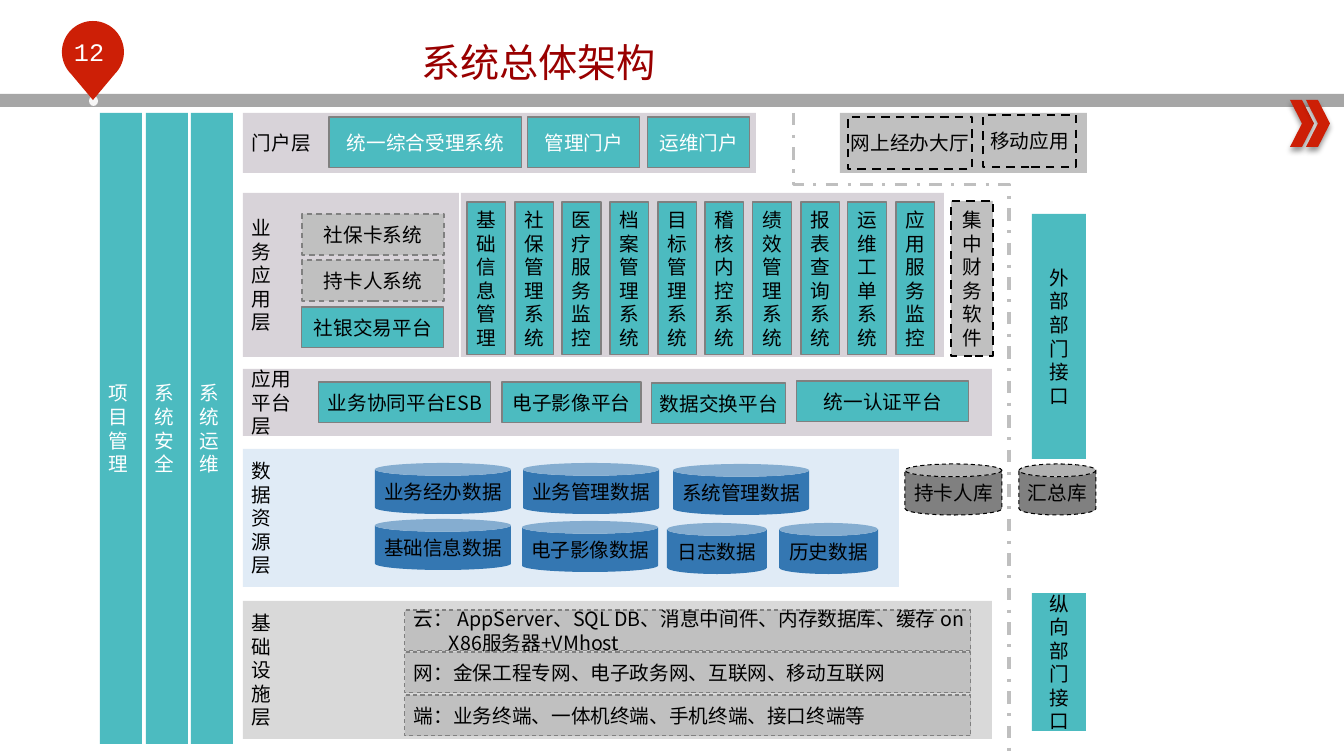
"""Build the system architecture slide."""
import math

from lxml import etree
from pptx import Presentation
from pptx.dml.color import RGBColor
from pptx.enum.dml import MSO_LINE
from pptx.enum.shapes import MSO_CONNECTOR, MSO_SHAPE
from pptx.enum.text import MSO_ANCHOR, MSO_AUTO_SIZE, PP_ALIGN
from pptx.oxml.ns import qn
from pptx.util import Pt

SCALE = 914400 / 100.8
RECT, CAN, OVAL = MSO_SHAPE.RECTANGLE, MSO_SHAPE.CAN, MSO_SHAPE.OVAL
CHEVRON, ELBOW = MSO_SHAPE.CHEVRON, MSO_CONNECTOR.ELBOW
LEFT, CENTER = PP_ALIGN.LEFT, PP_ALIGN.CENTER
TOP, MIDDLE = MSO_ANCHOR.TOP, MSO_ANCHOR.MIDDLE
DASH, DASHDOT = MSO_LINE.DASH, MSO_LINE.DASH_DOT
CJK = "Noto Sans CJK SC"
COLORS = {
    "teal": "4CBBC0", "silver": "C0C0C0", "gray": "808080", "band": "A6A6A6",
    "mauve": "D8D3D9", "light": "D9D9D9", "pale": "E0EBF6", "blue": "3477B2",
    "red": "CD1F06", "dot": "F6F6F6", "rule": "BFBFBF", "title": "990000",
    "black": "000000", "white": "FFFFFF",
}
SOLID = ("gray", 0.75, None)
THIN = ("gray", 0.75, DASH)
SOFT = ("gray", 1, DASH)
BOLD = ("black", 1.5, DASH)
EDGE = ("black", 0.75, DASH)


def px(num):
    """Turn pixels into EMU."""
    return round(num * SCALE)


def rgb(name):
    """Look up a colour."""
    return RGBColor.from_string(COLORS[name])


def style(frame, ink, size=14, font=CJK, align=CENTER, lead=None):
    """Format every paragraph and run of a text frame."""
    for para in frame.paragraphs:
        para.alignment = align
        if lead:
            para.line_spacing = Pt(lead)
        for run in para.runs:
            run.font.size = Pt(size)
            run.font.name = font
            run.font.color.rgb = rgb(ink)
            mark = etree.SubElement(run._r.get_or_add_rPr(), qn("a:ea"))
            mark.set("typeface", CJK)


def paint(shape, fill, line=None):
    """Set fill and outline, without a shadow."""
    shape.shadow.inherit = False
    shape.fill.solid()
    shape.fill.fore_color.rgb = rgb(fill)
    if not line:
        shape.line.fill.background()
        return
    ink, width, dash = line
    shape.line.color.rgb = rgb(ink)
    shape.line.width = Pt(width)
    if dash:
        shape.line.dash_style = dash


def box(slide, area, fill, text="", line=None, ink="black", align=CENTER, kind=RECT):
    """Add a filled shape with an optional label."""
    shape = slide.shapes.add_shape(kind, *map(px, area))
    paint(shape, fill, line)
    if text:
        frame = shape.text_frame
        frame.text = text
        frame.word_wrap = False
        frame.margin_left = frame.margin_right = px(9)
        frame.margin_top = frame.margin_bottom = px(4)
        frame.vertical_anchor = TOP if kind == CAN else MIDDLE
        style(frame, ink, align=align, lead=16.8)
    return shape


def stack(text):
    """Put each character on its own line."""
    return "\n".join(text)


def arrow(slide, left):
    """Add a chevron with a soft shadow."""
    shape = box(slide, (left, 100, 24, 47), "red", kind=CHEVRON)
    effects = shape._element.spPr.find(qn("a:effectLst"))
    cast = etree.SubElement(effects, qn("a:outerShdw"), blurRad=str(Pt(4)),
                            dist=str(Pt(3)), dir="5400000", rotWithShape="0")
    tone = etree.SubElement(cast, qn("a:srgbClr"), val=COLORS["black"])
    etree.SubElement(tone, qn("a:alpha"), val="40000")


def pin(slide):
    """Add the page number pin."""
    box(slide, (89, 96, 9, 10), "dot", kind=OVAL)
    turns = [math.radians(deg) for deg in range(135, 406, 5)]
    arc = [(px(93 + 31 * math.cos(a)), px(52 + 31 * math.sin(a))) for a in turns]
    path = slide.shapes.build_freeform(px(93), px(100))
    path.add_line_segments(arc, close=True)
    paint(path.convert_to_shape(), "red")
    label = slide.shapes.add_textbox(*map(px, (45, 31, 88, 40)))
    label.text_frame.text = "12"
    label.text_frame.word_wrap = True
    style(label.text_frame, "white", 18, "Courier New")


def border(slide):
    """Add the bent line around the outer systems."""
    line = slide.shapes.add_connector(ELBOW, px(1221), px(325), px(582), px(540))
    line.line.color.rgb = rgb("rule")
    line.line.width = Pt(2.25)
    line.line.dash_style = DASHDOT
    props = line._element.spPr
    props.find(qn("a:xfrm")).set("rot", "16200000")
    guides = props.find(qn("a:prstGeom")).find(qn("a:avLst"))
    etree.SubElement(guides, qn("a:gd"), name="adj1", fmla="val 11200")
    etree.SubElement(props, qn("a:effectLst"))


def header(slide):
    """Add the title, band, chevrons and pin."""
    title = slide.shapes.title
    title.left, title.top, title.width, title.height = map(px, (100, 33, 877, 55))
    frame = title.text_frame
    frame.text = "系统总体架构"
    frame.auto_size = MSO_AUTO_SIZE.NONE
    frame.vertical_anchor = TOP
    style(frame, "title", 28, "Lato")
    box(slide, (0, 94, 1344, 13), "band")
    for left in (1290, 1306):
        arrow(slide, left)
    pin(slide)


def layers(slide):
    """Add the side bars and the layer panels."""
    for i, name in enumerate(("项目管理", "系统安全", "系统运维")):
        box(slide, (100 + round(45.5 * i), 113, 42, 631), "teal", stack(name),
            ink="white", align=LEFT)
    panels = [
        ((840, 113, 247, 60), "silver", ""),
        ((243, 113, 513, 60), "mauve", "门户层"),
        ((243, 193, 216, 164), "mauve", stack("业务应用层")),
        ((461, 193, 483, 164), "mauve", ""),
        ((243, 369, 749, 67), "mauve", "应用\n平台\n层"),
        ((243, 449, 656, 138), "pale", stack("数据资源层")),
        ((243, 601, 749, 138), "light", stack("基础设施层")),
    ]
    for area, fill, text in panels:
        box(slide, area, fill, text, align=LEFT)


def portals(slide):
    """Add the portals and the outer entry points."""
    for left, width, text in ((329, 193, "统一综合受理系统"), (528, 112, "管理门户"),
                              (648, 102, "运维门户")):
        box(slide, (left, 117, width, 51), "teal", text, SOLID, "white")
    box(slide, (848, 117, 124, 52), "silver", "网上经办大厅", BOLD)
    box(slide, (983, 115, 93, 52), "silver", "移动应用", BOLD)


def apps(slide):
    """Add business systems, platforms and interfaces."""
    cards = (("silver", "社保卡系统", SOFT), ("silver", "持卡人系统", SOFT),
             ("teal", "社银交易平台", SOLID))
    for i, (fill, text, line) in enumerate(cards):
        box(slide, (302, 214 + round(46.5 * i), 142, 41), fill, text, line)
    names = ("基础信息管理", "社保管理系统", "医疗服务监控", "档案管理系统",
             "目标管理系统", "稽核内控系统", "绩效管理系统", "报表查询系统",
             "运维工单系统", "应用服务监控")
    for i, name in enumerate(names):
        box(slide, (467 + round(47.67 * i), 202, 39, 153), "teal", stack(name), SOLID)
    box(slide, (951, 201, 42, 155), "silver", stack("集中财务软件"), BOLD)
    for left, top, width, text in ((319, 382, 172, "业务协同平台ESB"),
                                   (502, 382, 139, "电子影像平台"),
                                   (652, 383, 134, "数据交换平台"),
                                   (797, 381, 172, "统一认证平台")):
        box(slide, (left, top, width, 41), "teal", text, SOLID)
    box(slide, (1032, 214, 54, 245), "teal", stack("外部部门接口"))
    box(slide, (1032, 593, 54, 138), "teal", stack("纵向部门接口"))


def stores(slide):
    """Add the data stores."""
    for left, top, width, text in ((375, 463, 136, "业务经办数据"),
                                   (523, 463, 136, "业务管理数据"),
                                   (673, 464, 136, "系统管理数据"),
                                   (375, 519, 136, "基础信息数据"),
                                   (522, 521, 136, "电子影像数据"),
                                   (667, 523, 100, "日志数据"),
                                   (779, 523, 99, "历史数据")):
        box(slide, (left, top, width, 51), "blue", text, kind=CAN)
    for left, width, text in ((905, 97, "持卡人库"), (1019, 77, "汇总库")):
        box(slide, (left, 464, width, 51), "gray", text, EDGE, kind=CAN)


def base(slide):
    """Add the infrastructure rows."""
    rows = ("云： AppServer、SQL DB、消息中间件、内存数据库、缓存 on\vX86服务器+VMhost",
            "网：金保工程专网、电子政务网、互联网、移动互联网",
            "端：业务终端、一体机终端、手机终端、接口终端等")
    for i, text in enumerate(rows):
        row = box(slide, (405, 610 + round(42.5 * i), 566, 41), "silver", text,
                  THIN, align=LEFT)
        props = row.text_frame.paragraphs[0]._p.get_or_add_pPr()
        props.set("marL", str(px(35)))
        props.set("indent", str(px(-35)))


def main():
    """Build and save the slide."""
    deck = Presentation()
    deck.slide_width, deck.slide_height = px(1344), px(756)
    slide = deck.slides.add_slide(deck.slide_layouts[5])
    for part in (header, layers, portals, apps, stores, base, border):
        part(slide)
    deck.save("out.pptx")


if __name__ == "__main__":
    main()
